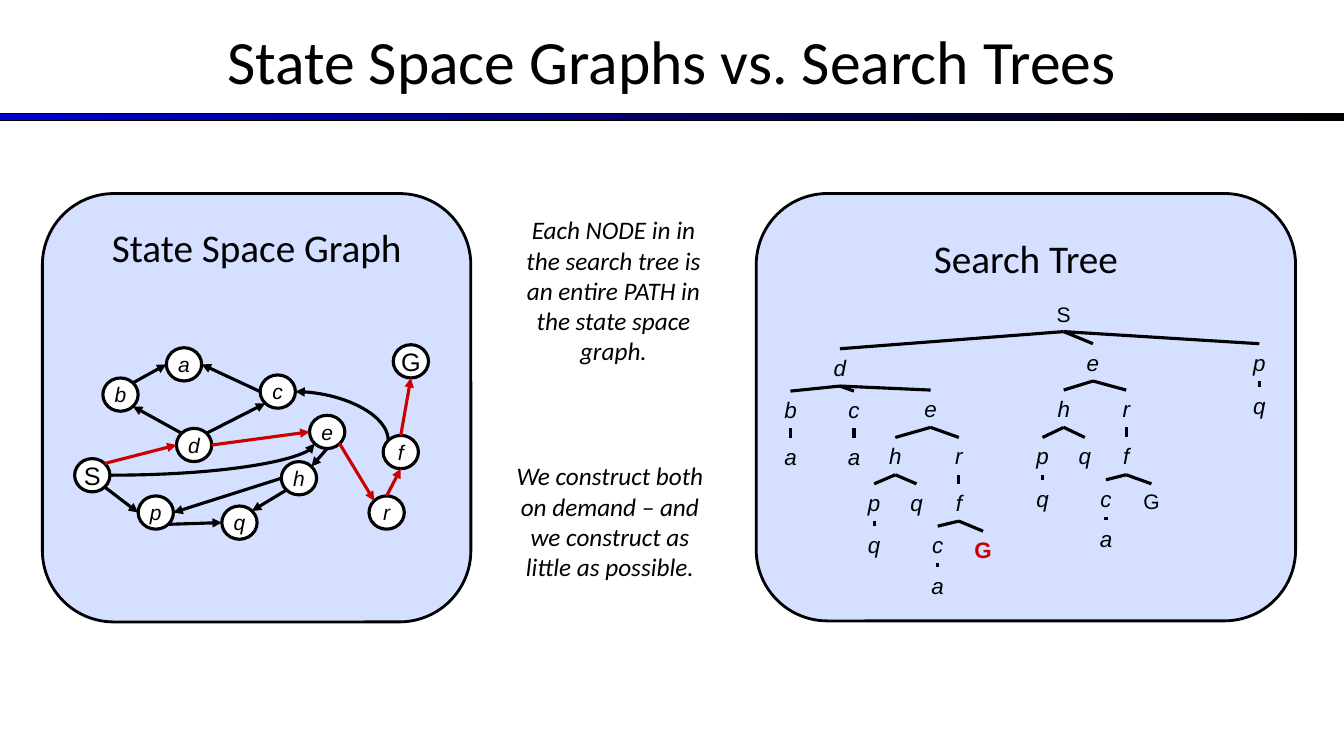
from dataclasses import dataclass

from lxml.etree import SubElement
from pptx import Presentation
from pptx.dml.color import RGBColor
from pptx.enum.shapes import MSO_CONNECTOR, MSO_SHAPE
from pptx.enum.text import MSO_ANCHOR, PP_ALIGN
from pptx.oxml.ns import qn
from pptx.util import Inches, Pt

BLACK = RGBColor(0x00, 0x00, 0x00)
WHITE = RGBColor(0xFF, 0xFF, 0xFF)
RED = RGBColor(0xCC, 0x00, 0x00)
BLUE = RGBColor(0x00, 0x00, 0xCC)
PALE_BLUE = RGBColor(0xD5, 0xDF, 0xFF)

NODE_W, NODE_H = 0.35, 0.33
DIAGONAL = 0.5 ** 0.5
GRAPH_NODES = {
    "S": (0.74, 4.55), "G": (3.9, 3.42), "d": (1.75, 4.25), "b": (1.02, 3.75),
    "p": (1.37, 4.92), "q": (2.2, 5.02), "c": (2.58, 3.72), "e": (3.07, 4.12),
    "h": (2.79, 4.58), "a": (1.65, 3.45), "f": (3.8, 4.32), "r": (3.66, 4.92),
}
SIDES = {
    "N": (0, -1), "S": (0, 1), "W": (-1, 0), "E": (1, 0),
    "NW": (-DIAGONAL, -DIAGONAL), "NE": (DIAGONAL, -DIAGONAL),
    "SW": (-DIAGONAL, DIAGONAL), "SE": (DIAGONAL, DIAGONAL),
}
GRAPH_EDGES = [
    ("S", "SE", "p", "W", BLACK), ("p", "SE", "q", "W", BLACK),
    ("h", "SW", "q", "NE", BLACK), ("h", "W", "p", "E", BLACK),
    ("e", "S", "h", "NE", BLACK), ("e", "SE", "r", "NW", RED),
    ("r", "N", "f", "S", RED), ("f", "N", "G", "S", RED),
    ("S", "NE", "d", "W", RED), ("d", "NW", "b", "SE", BLACK),
    ("b", "NE", "a", "W", BLACK), ("c", "W", "a", "E", BLACK),
    ("d", "NE", "c", "SW", BLACK), ("d", "E", "e", "W", RED),
]


@dataclass
class TreeNode:
    """A search tree node by the centre and top of its label."""
    label: str
    x: float
    y: float
    children: tuple = ()
    goal: bool = False


def build_tree():
    """Return the root of the search tree."""
    N = TreeNode
    d_e_h = N("h", 8.88, 4.34, (N("p", 8.67, 4.8, (N("q", 8.67, 5.22),)),
                                N("q", 9.09, 4.8)))
    d_e_f = N("f", 9.51, 4.8, (N("c", 9.3, 5.22, (N("a", 9.3, 5.63),)),
                               N("G", 9.75, 5.27, goal=True)))
    d_e = N("e", 9.23, 3.87, (d_e_h, N("r", 9.51, 4.34, (d_e_f,))))
    d = N("d", 8.33, 3.46, (N("b", 7.84, 3.88, (N("a", 7.84, 4.35),)),
                            N("c", 8.47, 3.88, (N("a", 8.47, 4.35),)), d_e))
    e_h = N("h", 10.55, 3.87, (N("p", 10.34, 4.34, (N("q", 10.34, 4.76),)),
                               N("q", 10.76, 4.34)))
    e_f = N("f", 11.17, 4.34, (N("c", 10.97, 4.76, (N("a", 10.97, 5.16),)),
                               N("G", 11.42, 4.8)))
    e = N("e", 10.84, 3.41, (e_h, N("r", 11.17, 3.87, (e_f,))))
    p = N("p", 12.49, 3.41, (N("q", 12.49, 3.84),))
    return N("S", 10.55, 2.94, (d, e, p))


def write(tf, text, size, font, color=BLACK, italic=False, bold=False):
    """Put one centred run into a text frame."""
    p = tf.paragraphs[0]
    p.alignment = PP_ALIGN.CENTER
    r = p.add_run()
    r.text = text
    r.font.size = Pt(size)
    r.font.name = font
    r.font.color.rgb = color
    r.font.italic = italic
    r.font.bold = bold


def add_text(s, x, y, w, h, text, size, font="Calibri", anchor=MSO_ANCHOR.TOP, **style):
    """Add a wrapping text box."""
    tf = s.shapes.add_textbox(Inches(x), Inches(y), Inches(w), Inches(h)).text_frame
    tf.word_wrap = True
    tf.vertical_anchor = anchor
    write(tf, text, size, font, **style)


def add_box(s, kind, x, y, w, h, fill, line_width):
    """Add a filled, black-outlined preset shape."""
    sp = s.shapes.add_shape(kind, Inches(x), Inches(y), Inches(w), Inches(h))
    sp.shadow.inherit = False
    sp.fill.solid()
    sp.fill.fore_color.rgb = fill
    sp.line.color.rgb = BLACK
    sp.line.width = Pt(line_width)
    return sp


def add_line(s, start, end, color=BLACK, arrow=False, kind=MSO_CONNECTOR.STRAIGHT):
    """Add a connector between two points."""
    cx = s.shapes.add_connector(kind, *(Inches(v) for v in (*start, *end)))
    cx.line.color.rgb = color
    cx.line.width = Pt(2.25)
    if arrow:
        SubElement(cx.line._get_or_add_ln(), qn("a:tailEnd"), type="triangle")
    SubElement(cx._element.spPr, qn("a:effectLst"))
    return cx


def add_curve(s, start, end, upright=False):
    """Add a quarter-turn arrow that leaves sideways, or upright."""
    if upright:
        mx, my = (start[0] + end[0]) / 2, (start[1] + end[1]) / 2
        dx, dy = start[0] - mx, start[1] - my
        start, end = (mx + dy, my - dx), (mx - dy, my + dx)
    cx = add_line(s, start, end, arrow=True, kind=MSO_CONNECTOR.CURVE)
    spPr = cx._element.spPr
    spPr.find(qn("a:prstGeom")).set("prst", "curvedConnector2")
    if upright:
        spPr.find(qn("a:xfrm")).set("rot", str(90 * 60000))


def site(label, side):
    """Return the point on a graph node's rim at a compass side."""
    x, y = GRAPH_NODES[label]
    dx, dy = SIDES[side]
    return x + NODE_W / 2 * (1 + dx), y + NODE_H / 2 * (1 + dy)


def add_graph(s):
    """Draw the state space graph."""
    for label, (x, y) in GRAPH_NODES.items():
        sp = add_box(s, MSO_SHAPE.FLOWCHART_CONNECTOR, x, y, NODE_W, NODE_H, WHITE, 2.25)
        tf = sp.text_frame
        tf.word_wrap = False
        tf.vertical_anchor = MSO_ANCHOR.MIDDLE
        write(tf, label, 18 if label.isupper() else 15, "Arial", italic=label.islower())
    for tail, tail_side, head, head_side, color in GRAPH_EDGES:
        add_line(s, site(tail, tail_side), site(head, head_side), color, arrow=True)
    add_curve(s, site("f", "NW"), site("c", "E"), upright=True)
    add_curve(s, site("S", "E"), site("e", "SW"))


def add_tree(s, node):
    """Draw a search tree node and everything below it."""
    plain = node.label.isupper() and not node.goal
    size, h = (15, 0.35) if plain else (16, 0.37)
    w = {"S": 0.9, "G": 0.69}.get(node.label, 0.35)
    add_text(s, node.x - w / 2, node.y, w, h, node.label, size, "Arial",
             color=RED if node.goal else BLACK, italic=node.label.islower(), bold=node.goal)
    for child in node.children:
        add_line(s, (node.x, node.y + h), (child.x, child.y))
        add_tree(s, child)


def add_title(s):
    """Add the slide title and the gradient rule below it."""
    bar = add_box(s, MSO_SHAPE.RECTANGLE, 0, 1.13, 13.33, 0.07, BLUE, 0.75)
    bar.fill.gradient()
    bar.fill.gradient_angle = 0
    for stop, position, color in zip(bar.fill.gradient_stops, (0, 1), (BLUE, BLACK)):
        stop.position = position
        stop.color.rgb = color
    add_text(s, 0, -0.03, 13.33, 1.25, "State Space Graphs vs. Search Trees", 44,
             anchor=MSO_ANCHOR.MIDDLE)


def main():
    """Build and save the slide."""
    prs = Presentation()
    prs.slide_width, prs.slide_height = Inches(13.33), Inches(7.5)
    s = prs.slides.add_slide(prs.slide_layouts[6])
    add_title(s)
    add_box(s, MSO_SHAPE.ROUNDED_RECTANGLE, 7.5, 1.92, 5.35, 4.24, PALE_BLUE, 2)
    add_box(s, MSO_SHAPE.ROUNDED_RECTANGLE, 0.42, 1.92, 4.25, 4.25, PALE_BLUE, 2)
    add_tree(s, build_tree())
    add_graph(s)
    add_text(s, 4.92, 4.52, 2.26, 1.31,
             "We construct both on demand – and we construct as little as possible.",
             18, italic=True)
    add_text(s, 5, 2.08, 2.17, 1.62,
             "Each NODE in in the search tree is an entire PATH in the state space graph.",
             18, italic=True)
    add_text(s, 7.51, 2.28, 5.33, 0.57, "Search Tree", 28)
    add_text(s, 0.67, 2.17, 3.75, 0.57, "State Space Graph", 28)
    prs.save("out.pptx")


if __name__ == "__main__":
    main()
